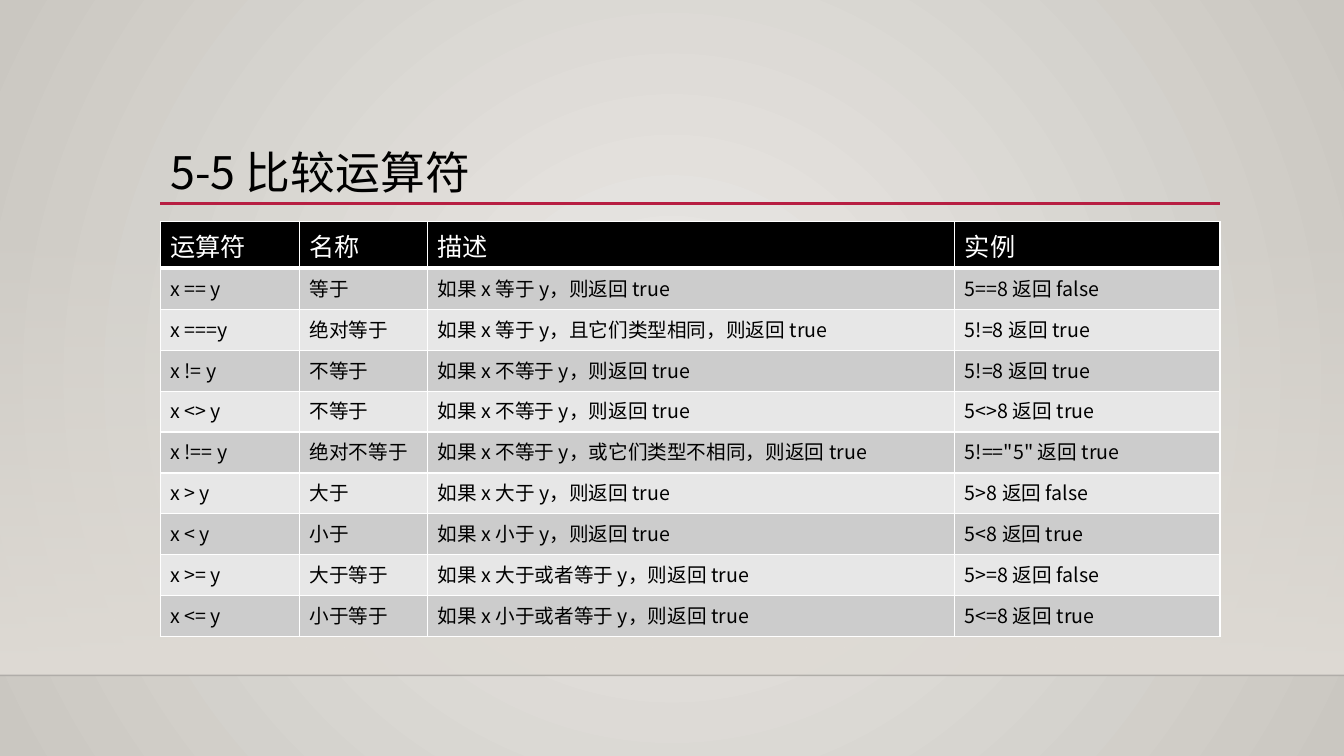
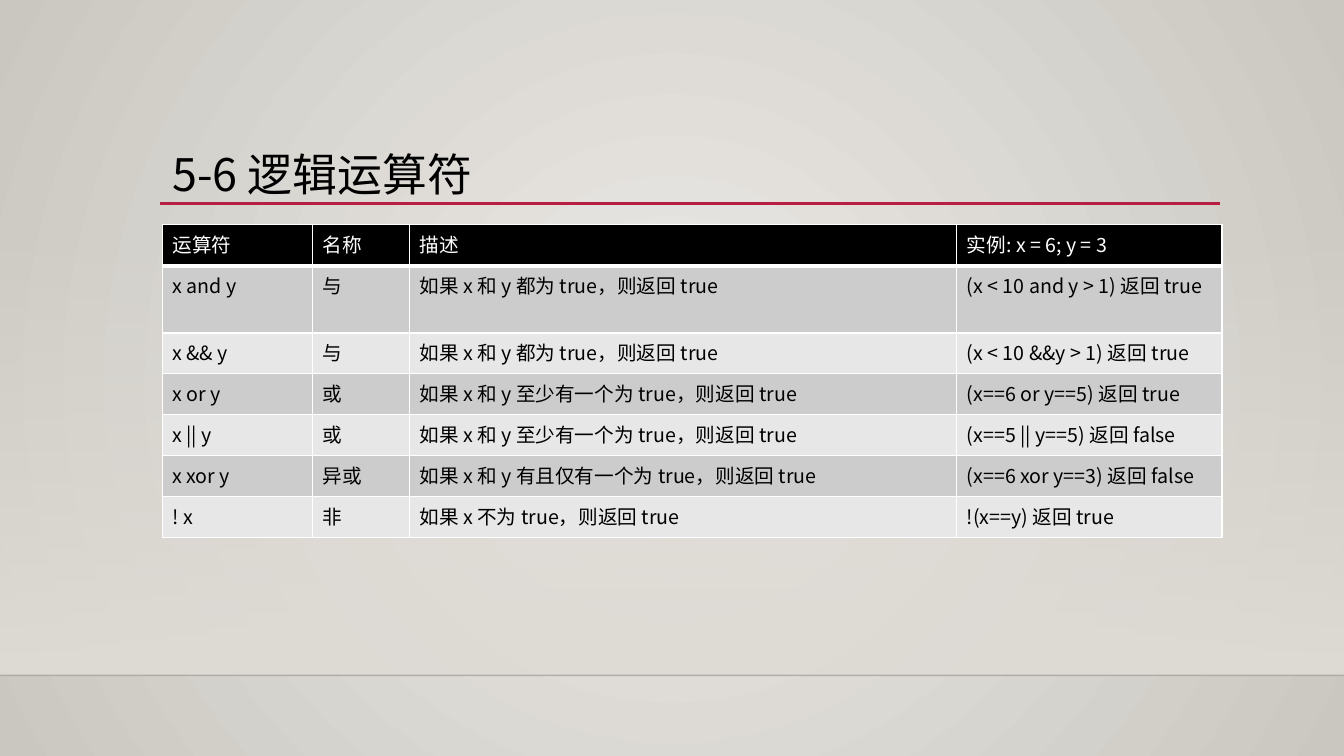
from dataclasses import dataclass

from lxml import etree
from pptx import Presentation
from pptx.dml.color import RGBColor
from pptx.enum.shapes import MSO_CONNECTOR, MSO_SHAPE
from pptx.enum.text import MSO_ANCHOR, PP_ALIGN
from pptx.oxml import parse_xml
from pptx.oxml.ns import nsdecls, qn
from pptx.util import Inches, Pt

RECT = MSO_SHAPE.RECTANGLE
STRAIGHT = MSO_CONNECTOR.STRAIGHT
BOTTOM = MSO_ANCHOR.BOTTOM
TOP = MSO_ANCHOR.TOP
LEFT = PP_ALIGN.LEFT


@dataclass(frozen=True)
class Theme:
    font: str = "Noto Sans CJK SC"
    ink: str = "000000"
    paper: str = "FFFFFF"
    accent: str = "B71E42"
    edge: str = "000001"
    glow: str = "ECEAE7"
    shade: str = "CAC7C1"
    wall: str = "DFDBD5"
    bands: tuple = ("CCCCCC", "E7E7E7")
    title: int = 32
    head: int = 18
    body: int = 14


def blend(first, last, path, alpha=100):
    return (
        f'<a:gradFill {nsdecls("a")} rotWithShape="1"><a:gsLst>'
        f'<a:gs pos="0"><a:srgbClr val="{first}"><a:alpha val="{alpha * 1000}"/></a:srgbClr></a:gs>'
        f'<a:gs pos="100000"><a:srgbClr val="{last}"/></a:gs>'
        f'</a:gsLst>{path}</a:gradFill>'
    )


class Deck:
    def __init__(self, theme):
        self.theme = theme
        self.show = Presentation()
        self.show.slide_width = Inches(13.33)
        self.show.slide_height = Inches(7.5)
        self.slide = None

    def add_page(self):
        self.slide = self.show.slides.add_slide(self.show.slide_layouts[5])
        self.add_back()
        self.add_wall()
        self.add_line(0, 13.33, 6.7, self.theme.edge, 1, 20)
        self.add_line(1.59, 12.1, 2.02, self.theme.accent, 2.5)

    def add_back(self):
        round_path = ('<a:path path="circle"><a:fillToRect l="50000" t="50000" '
                      'r="50000" b="50000"/></a:path>')
        fill = blend(self.theme.glow, self.theme.shade, round_path)
        back = parse_xml(f'<p:bg {nsdecls("p", "a")}><p:bgPr>{fill}<a:effectLst/></p:bgPr></p:bg>')
        self.slide.element.find(qn("p:cSld")).insert(0, back)

    def add_wall(self):
        wall = self.slide.shapes.add_shape(RECT, 0, Inches(2.21), Inches(13.33), Inches(4.49))
        wall.shadow.inherit = False
        wall.line.fill.background()
        fill = blend(self.theme.wall, self.theme.wall, '<a:lin ang="5400000" scaled="0"/>', 0)
        props = wall.element.spPr
        props.find(qn("a:prstGeom")).addnext(parse_xml(fill))

    def add_line(self, left, right, top, color, width, alpha=100):
        line = self.slide.shapes.add_connector(
            STRAIGHT, Inches(left), Inches(top), Inches(right), Inches(top))
        line.line.color.rgb = RGBColor.from_string(color)
        line.line.width = Pt(width)
        props = line.element.spPr
        tint = props.find(".//" + qn("a:srgbClr"))
        etree.SubElement(tint, qn("a:alpha")).set("val", str(alpha * 1000))
        etree.SubElement(props, qn("a:effectLst"))

    def style(self, para, size, color):
        para.alignment = LEFT
        for run in para.runs:
            run.font.size = Pt(size)
            run.font.bold = False
            run.font.color.rgb = RGBColor.from_string(color)
            run.font.name = self.theme.font
            props = run.font._element if hasattr(run.font, "_element") else run._r.get_or_add_rPr()
            etree.SubElement(props, qn("a:ea")).set("typeface", self.theme.font)

    def add_title(self, text, left, top):
        title = self.slide.shapes.title
        title.left, title.top = Inches(left), Inches(top)
        title.width, title.height = Inches(10.5), Inches(0.59)
        frame = title.text_frame
        frame.text = text
        frame.word_wrap = True
        frame.vertical_anchor = BOTTOM
        para = frame.paragraphs[0]
        para.line_spacing = 0.9
        self.style(para, self.theme.title, self.theme.ink)

    def add_edges(self, cell, top, bottom):
        sides = (("L", 1), ("R", 1), ("T", top), ("B", bottom))
        props = cell._tc.get_or_add_tcPr()
        for place, (side, width) in enumerate(sides):
            props.insert(place, parse_xml(
                f'<a:ln{side} {nsdecls("a")} w="{Pt(width)}"><a:solidFill>'
                f'<a:srgbClr val="{self.theme.paper}"/></a:solidFill></a:ln{side}>'))

    def add_table(self, rows, left, top, height, widths, head):
        theme = self.theme
        table = self.slide.shapes.add_table(
            len(rows), len(widths), Inches(left), Inches(top),
            Inches(sum(widths)), Inches(height)).table
        table.horz_banding = False
        for column, width in zip(table.columns, widths):
            column.width = Inches(width)
        for index, texts in enumerate(rows):
            is_head = index == 0
            fill = theme.ink if is_head else theme.bands[(index - 1) % 2]
            color = theme.paper if is_head else theme.ink
            size = head if is_head else theme.body
            for column, text in enumerate(texts):
                cell = table.cell(index, column)
                cell.text_frame.text = text
                cell.vertical_anchor = TOP
                cell.fill.solid()
                cell.fill.fore_color.rgb = RGBColor.from_string(fill)
                self.add_edges(cell, 3 if index == 1 else 1, 3 if is_head else 1)
                self.style(cell.text_frame.paragraphs[0], size, color)


COMPARE = (
    ("运算符", "名称", "描述", "实例"),
    ("x == y", "等于", "如果 x 等于 y，则返回 true", "5==8 返回 false"),
    ("x ===y", "绝对等于", "如果 x 等于 y，且它们类型相同，则返回 true", "5!=8 返回 true"),
    ("x != y", "不等于", "如果 x 不等于 y，则返回 true", "5!=8 返回 true"),
    ("x <> y", "不等于", "如果 x 不等于 y，则返回 true", "5<>8 返回 true"),
    ("x !== y", "绝对不等于", "如果 x 不等于 y，或它们类型不相同，则返回 true", '5!=="5" 返回 true'),
    ("x > y", "大于", "如果 x 大于 y，则返回 true", "5>8 返回 false"),
    ("x < y", "小于", "如果 x 小于 y，则返回 true", "5<8 返回 true"),
    ("x >= y", "大于等于", "如果 x 大于或者等于 y，则返回 true", "5>=8 返回 false"),
    ("x <= y", "小于等于", "如果 x 小于或者等于 y，则返回 true", "5<=8 返回 true"),
)

LOGIC = (
    ("运算符", "名称", "描述", "实例: x = 6; y = 3"),
    ("x and y", "与", "如果 x 和 y 都为 true，则返回 true", "(x < 10 and y > 1) 返回 true"),
    ("x && y", "与", "如果 x 和 y 都为 true，则返回 true", "(x < 10 &&y > 1) 返回 true"),
    ("x or y", "或", "如果 x 和 y 至少有一个为 true，则返回 true", "(x==6 or y==5) 返回 true"),
    ("x || y", "或", "如果 x 和 y 至少有一个为 true，则返回 true", "(x==5 || y==5) 返回 false"),
    ("x xor y", "异或", "如果 x 和 y 有且仅有一个为 true，则返回 true", "(x==6 xor y==3) 返回 false"),
    ("! x", "非", "如果 x 不为 true，则返回 true", "!(x==y) 返回 true"),
)


def main():
    theme = Theme()
    deck = Deck(theme)

    deck.add_page()
    deck.add_title("5-5 比较运算符", 1.59, 1.44)
    deck.add_table(COMPARE, 1.59, 2.2, 4.06, (1.38, 1.27, 5.23, 2.63), theme.head)

    deck.add_page()
    deck.add_title("5-6 逻辑运算符", 1.61, 1.46)
    deck.add_table(LOGIC, 1.61, 2.23, 2.84, (1.49, 0.96, 5.43, 2.63), theme.body)

    deck.show.save("out.pptx")


if __name__ == "__main__":
    main()
